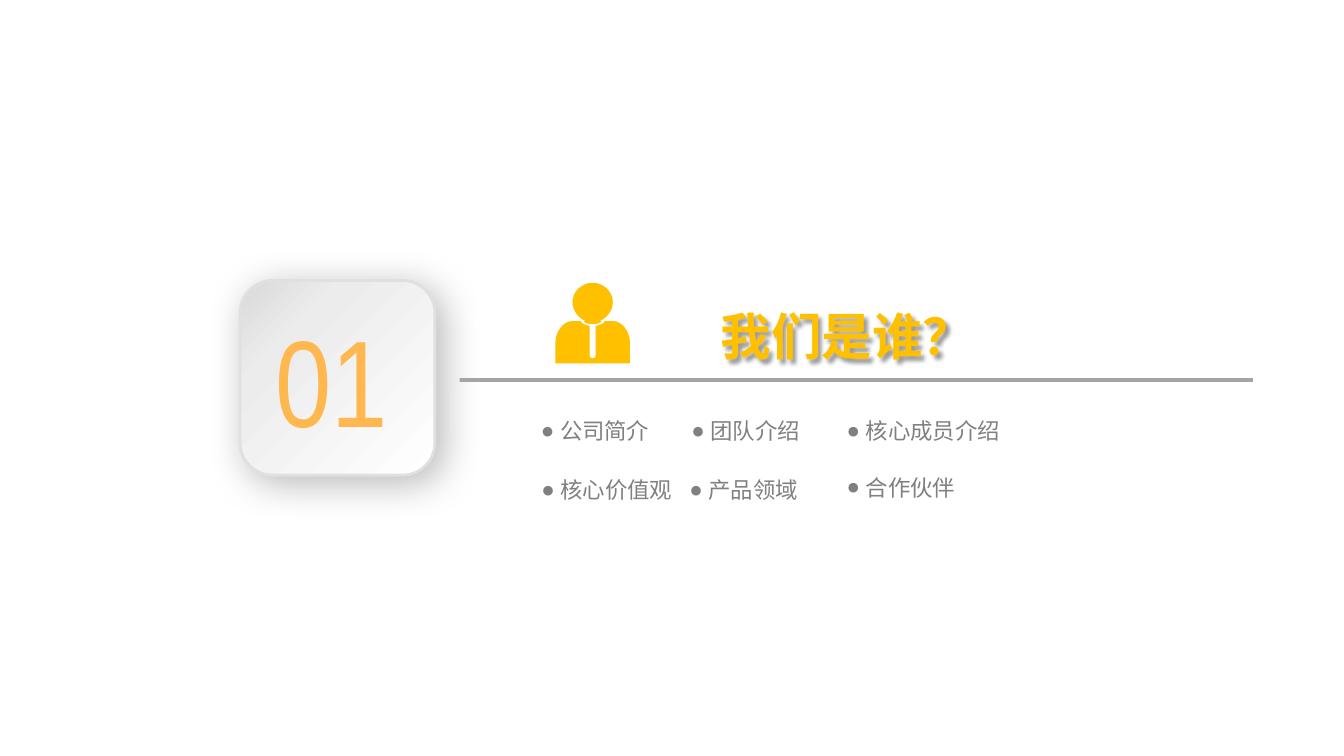
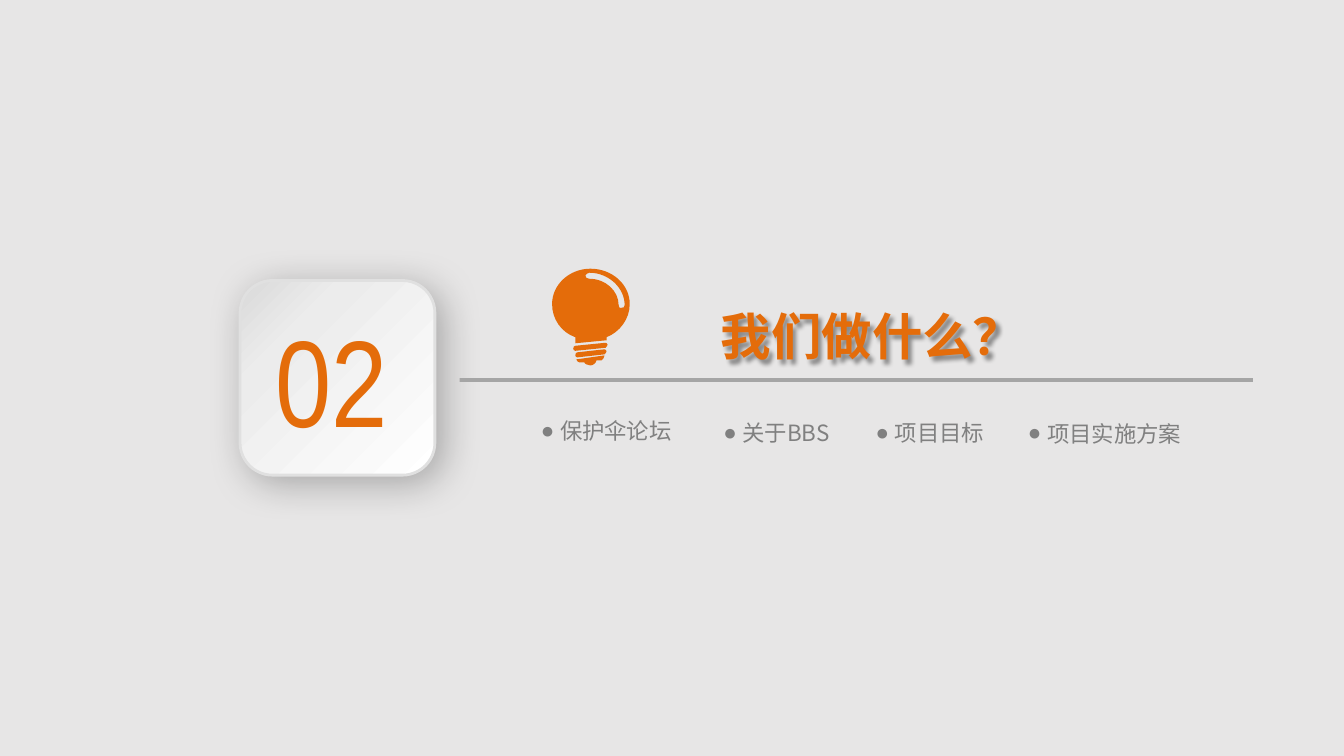
from lxml import etree
from pptx import Presentation
from pptx.dml.color import RGBColor
from pptx.enum.shapes import MSO_SHAPE
from pptx.enum.text import MSO_ANCHOR, MSO_AUTO_SIZE, PP_ALIGN
from pptx.oxml.ns import qn
from pptx.util import Inches, Pt

LEFT, CENTER = PP_ALIGN.LEFT, PP_ALIGN.CENTER
TOP, FIXED = MSO_ANCHOR.TOP, MSO_AUTO_SIZE.NONE
RECT, ROUND = MSO_SHAPE.RECTANGLE, MSO_SHAPE.ROUNDED_RECTANGLE

WIDE, HIGH = Inches(13.33), Inches(7.5)
HAN, THIN, DOT = "Noto Sans CJK SC", "Arial Narrow", "Arial"
UNIT = Inches(0.01)  # icon outlines are drawn in these
INDENT = Inches(0.19)
HUES = {
    "white": "FFFFFF", "mist": "E7E6E6", "rim": "E0E0E0",
    "pale": "ECECEC", "dim": "D9D9D9", "rule": "A5A5A5",
    "text": "808080", "gold": "FFC000", "amber": "FFB850",
    "orange": "E46C0A", "black": "000000",
}


def hue(name):
    return RGBColor.from_string(HUES[name])


def area(x, y, w, h):
    """Turn percentages of the slide into a left, top, width, height."""
    return [int(side * part / 100)
            for side, part in zip((WIDE, HIGH, WIDE, HIGH), (x, y, w, h))]


def node(parent, tag, **attrs):
    attrs = {key: str(value) for key, value in attrs.items()}
    return etree.SubElement(parent, qn(tag), attrs)


def shade(shape, blur, dist, alpha):
    """Cast a soft black shadow down and to the right."""
    shape.shadow.inherit = False
    glow = shape._element.spPr.find(qn("a:effectLst"))
    cast = node(glow, "a:outerShdw", blurRad=Pt(blur), dist=Pt(dist),
                dir=45 * 60000, algn="ctr", rotWithShape=0)
    tint = node(cast, "a:srgbClr", val=HUES["black"])
    node(tint, "a:alpha", val=alpha * 1000)


def write(shape, text, size, color, face=HAN, align=LEFT, bold=False):
    frame = shape.text_frame
    frame.auto_size, frame.vertical_anchor = FIXED, TOP
    frame.text = text
    para = frame.paragraphs[0]
    para.alignment = align
    font = para.font
    font.size, font.bold, font.name = Pt(size), bold, face
    font.color.rgb = hue(color)
    node(font._element, "a:ea", typeface=face)
    return para


def add_tile(slide):
    tile = slide.shapes.add_shape(ROUND, *area(17.86, 37.1, 14.5, 25.75))
    props = tile._element.spPr
    grad = node(props, "a:gradFill", rotWithShape=1)
    stops = node(grad, "a:gsLst")
    for pos, name in ((0, "dim"), (27, "pale"), (100, "white")):
        stop = node(stops, "a:gs", pos=pos * 1000)
        node(stop, "a:srgbClr", val=HUES[name])
    node(grad, "a:lin", ang=45 * 60000, scaled=0)
    tile.line.color.rgb = hue("rim")
    tile.line.width = Pt(2)
    shade(tile, 28, 7, 28)


def add_number(slide, text, color):
    box = slide.shapes.add_textbox(*area(19.13, 39.6, 11.1, 21.07))
    box.text_frame.word_wrap = False
    write(box, text, 88, color, THIN, CENTER)


def add_rule(slide):
    rule = slide.shapes.add_shape(RECT, *area(34.2, 50, 59.03, 0.53))
    rule.shadow.inherit = False
    rule.fill.solid()
    rule.fill.fore_color.rgb = hue("rule")
    rule.line.fill.background()


def set_title(slide, text, color, width):
    title = slide.shapes.title
    title.left, title.top, title.width, title.height = area(
        52.88, 39.73, width, 9.47)
    title.text_frame.word_wrap = False
    write(title, text, 36, color, bold=True)
    shade(title, 3, 3, 40)


def add_item(slide, text, x, y):
    box = slide.shapes.add_textbox(*area(x, y, 13.2, 3.6))
    frame = box.text_frame
    frame.word_wrap = True
    frame.margin_left = frame.margin_right = 0
    frame.margin_top = frame.margin_bottom = 0
    props = write(box, text, 16, "text")._p.pPr
    props.set("marL", str(INDENT))
    props.set("indent", str(-INDENT))
    face = node(props, "a:buFont", typeface=DOT)
    mark = node(props, "a:buChar", char="●")
    props.insert(0, face)
    props.insert(1, mark)


def pairs(step):
    return list(zip(step[::2], step[1::2]))


def mirror(steps):
    """Complete a left half about the vertical axis x = 0."""
    whole = list(steps)
    for step, prior in zip(steps[:0:-1], steps[-2::-1]):
        dots = pairs(step)[-2::-1] + [prior[-2:]]
        whole.append(tuple(n for x, y in dots for n in (-x, y)))
    return whole


def add_form(slide, loops, x, y, color):
    """Fill closed loops with their origin at x, y percent.

    A step of two numbers is a corner, one of six a Bezier curve.
    """
    left, top = area(x, y, 0, 0)[:2]

    def spot(dot):
        return round(left + dot[0] * UNIT), round(top + dot[1] * UNIT)

    pen = None
    for loop in loops:
        ends = [spot(step[-2:]) for step in loop]
        if pen is None:
            pen = slide.shapes.build_freeform(*ends[0])
        else:
            pen.move_to(*ends[0])
        pen.add_line_segments(ends[1:], close=True)
    form = pen.convert_to_shape()
    form.shadow.inherit = False
    form.fill.solid()
    form.fill.fore_color.rgb = hue(color)
    form.line.fill.background()

    lines = list(form._element.iter(qn("a:lnTo")))
    steps = [step for loop in loops for step in loop[1:]]
    for line, step in zip(lines, steps):
        if len(step) == 6:
            line.tag = qn("a:cubicBezTo")
            line.remove(line[0])
            for dot in pairs(step):
                a, b = spot(dot)
                node(line, "a:pt", x=a - form.left, y=b - form.top)


def add_person(slide, color):
    head = [(0, 0), (-11, 0, -20, 9, -20, 19), (-20, 28, -14, 35, -7, 38),
            (-9, 38), (-9, 39, -6, 41, 0, 41)]
    body = [(0, 75), (-2, 75, -3, 74, -3, 72), (-3, 43),
            (-7, 42, -12, 40, -12, 38), (-20, 38),
            (-29, 38, -37, 48, -37, 60), (-37, 80)]
    for half in (head, body):
        add_form(slide, [mirror(half + [(0, half[-1][-1])])
                         if half is body else mirror(half)],
                 44.1, 37.4, color)


def thread(l, r, y):
    """One slanted band of the bulb's screw."""
    return [(r, y), (l, y + 3), (l - 1, y + 3, l - 2, y + 4, l - 2, y + 6),
            (l - 2, y + 7, l - 1, y + 8, l, y + 8), (r, y + 5),
            (r + 1, y + 4, r + 2, y + 3, r + 2, y + 2),
            (r + 2, y + 1, r + 1, y, r, y)]


def add_bulb(slide, color):
    glass = [(38, 0), (17, 0, 0, 16, 0, 35), (0, 50, 9, 63, 23, 68),
             (23, 74), (54, 71), (54, 68), (67, 63, 77, 50, 77, 35),
             (77, 16, 60, 0, 38, 0)]
    shine = [(68, 39), (67, 39, 66, 38, 66, 36), (66, 22, 53, 10, 37, 10),
             (35, 10, 33, 9, 33, 7), (33, 6, 35, 4, 37, 4),
             (56, 4, 72, 19, 72, 36), (72, 38, 71, 39, 68, 39)]
    tip = [(27, 93), (32, 93), (32, 94, 35, 96, 38, 96),
           (41, 96, 44, 93, 44, 91), (49, 91), (50, 91, 52, 88, 52, 86),
           (24, 90), (24, 91, 26, 93, 27, 93)]
    loops = [tip, thread(25, 52, 80), thread(23, 53, 73.5), glass, shine]
    add_form(slide, loops, 41.08, 35.55, color)


def add_part(deck, back, number, tint, title, color, width, icon, items):
    """Add one section slide."""
    slide = deck.slides.add_slide(deck.slide_layouts[5])
    slide.background.fill.solid()
    slide.background.fill.fore_color.rgb = hue(back)
    add_tile(slide)
    icon(slide, color)
    add_number(slide, number, tint)
    add_rule(slide)
    set_title(slide, title, color, width)
    for item in items:
        add_item(slide, *item)


def main():
    deck = Presentation()
    deck.slide_width, deck.slide_height = WIDE, HIGH
    add_part(deck, "white", "01", "amber", "我们是谁？", "gold", 20.48,
             add_person, [
                 ("公司简介", 40.24, 55.2), ("团队介绍", 51.45, 55.2),
                 ("核心成员介绍", 63, 55.2), ("核心价值观", 40.28, 63),
                 ("产品领域", 51.3, 63), ("合作伙伴", 63, 62.67)])
    add_part(deck, "mist", "02", "orange", "我们做什么？", "orange", 24.23,
             add_bulb, [
                 ("保护伞论坛", 40.24, 55.2), ("关于BBS", 53.82, 55.47),
                 ("项目目标", 65.15, 55.47), ("项目实施方案", 76.48, 55.53)])
    deck.save("out.pptx")


if __name__ == "__main__":
    main()
